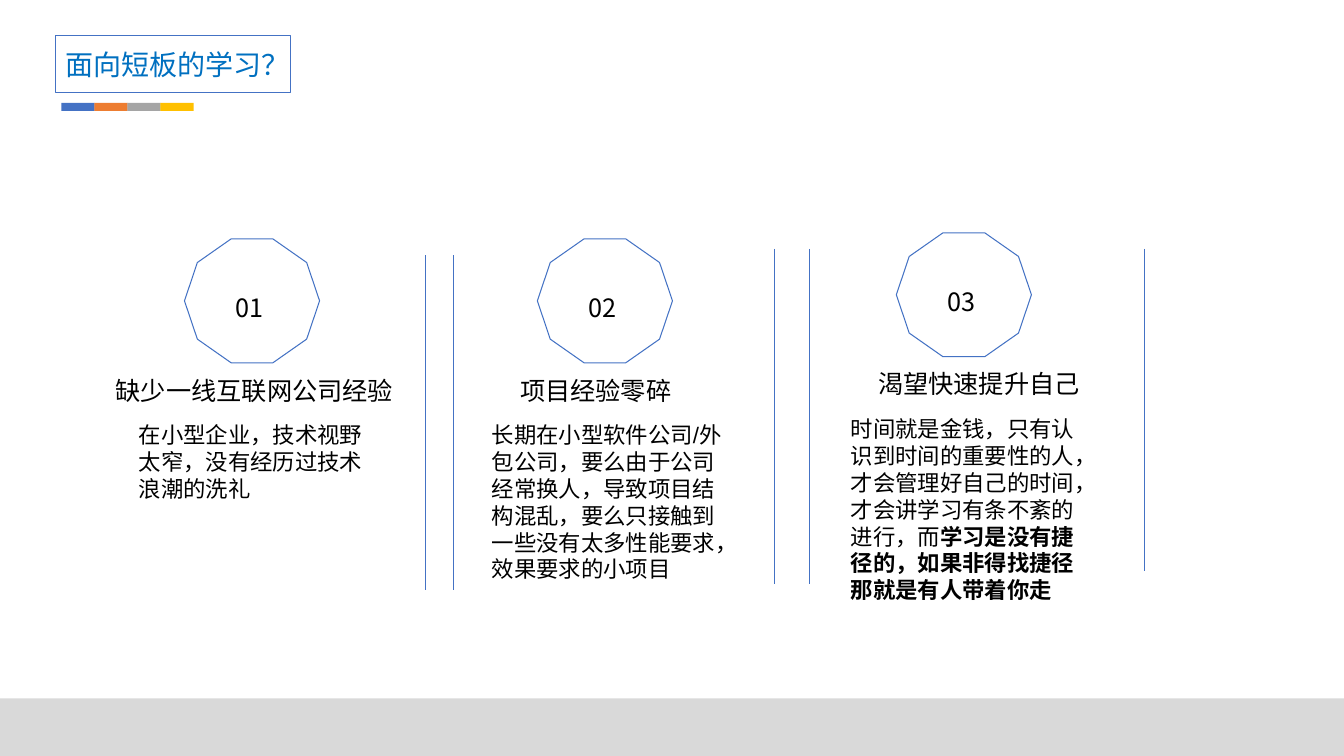
from lxml.etree import SubElement
from pptx import Presentation
from pptx.dml.color import RGBColor as Color
from pptx.enum.shapes import MSO_CONNECTOR as Link, MSO_SHAPE as Form
from pptx.enum.text import MSO_ANCHOR as Anchor, MSO_AUTO_SIZE as Fit, PP_ALIGN as Align
from pptx.oxml.ns import qn
from pptx.util import Inches, Pt

theme = {
    "blue": Color.from_string("4472C4"),
    "white": Color.from_string("FFFFFF"),
    "black": Color.from_string("000000"),
    "title": Color.from_string("0070C0"),
    "band": Color.from_string("D9D9D9"),
    "bars": [Color.from_string(c) for c in ("4472C4", "ED7D31", "A5A5A5", "FFC000")],
    "sans": "Noto Sans CJK SC",
    "latin": "Arial",
    "big": Pt(20),
    "mid": Pt(18),
    "small": Pt(16),
}

deck = Presentation()
deck.slide_width, deck.slide_height = Inches(13.33), Inches(7.5)
slide = deck.slides.add_slide(deck.slide_layouts[5])
shapes = slide.shapes


def draw(form, box, fill, edge=None):
    shape = shapes.add_shape(form, *map(Inches, box))
    shape.shadow.inherit = False
    shape.fill.solid()
    shape.fill.fore_color.rgb = fill
    if edge:
        shape.line.color.rgb = theme["blue"]
        shape.line.width = Pt(edge)
    else:
        shape.line.fill.background()


def write(frame, parts, size, face, tint, wrap=True):
    frame.word_wrap = wrap
    para = frame.paragraphs[0]
    para.alignment = Align.LEFT
    for text, bold in parts:
        run = para.add_run()
        run.text = text
        style = {"size": size, "name": face, "bold": bold}
        for key, value in style.items():
            setattr(run.font, key, value)
        run.font.color.rgb = tint
        east = SubElement(run.font._element, qn("a:ea"))
        east.set("typeface", theme["sans"])


draw(Form.RECTANGLE, (0, 6.93, 13.33, 0.57), theme["band"])
for i, tint in enumerate(theme["bars"]):
    draw(Form.RECTANGLE, (0.61 + 0.327 * i, 1.02, 0.33, 0.08), tint)

title = shapes.title
place = {"left": 0.55, "top": 0.35, "width": 2.33, "height": 0.57}
for key, value in place.items():
    setattr(title, key, Inches(value))
geom = SubElement(title._element.spPr, qn("a:prstGeom"), prst="roundRect")
SubElement(geom, qn("a:avLst"))
title.fill.solid()
title.fill.fore_color.rgb = theme["white"]
title.line.color.rgb = theme["blue"]
title.line.width = Pt(1)
title.text_frame.auto_size = Fit.NONE
title.text_frame.vertical_anchor = Anchor.MIDDLE
write(title.text_frame, [("面向短板的学习？", False)], theme["big"], theme["sans"], theme["title"])

points = [
    (1.83, 2.37, 1.05, 2.98, 0.91, "缺少一线互联网公司经验",
     [("在小型企业，技术视野太窄，没有经历过技术浪潮的洗礼", False)]),
    (5.33, 2.37, 5.06, 1.72, 1.72, "项目经验零碎",
     [("长期在小型软件公司/外包公司，要么由于公司经常换人，导致项目结构混乱，"
       "要么只接触到一些没有太多性能要求，效果要求的小项目", False)]),
    (8.89, 2.31, 8.61, 2.22, 1.99, "渴望快速提升自己",
     [("时间就是金钱，只有认识到时间的重要性的人，才会管理好自己的时间，"
       "才会讲学习有条不紊的进行，而", False),
      ("学习是没有捷径的，如果非得找捷径那就是有人带着你走", True)]),
]
for i, (x, y, left, width, height, head, body) in enumerate(points, 1):
    draw(Form.DECAGON, (x, y, 1.34, 1.23), theme["white"], 0.75)
    texts = [
        ((x + 0.41, y + 0.48, 0.5, 0.4), [(f"{i:02}", False)], "mid", "sans", False),
        ((left, y + 1.3, width, 0.4), [(head, False)], "mid", "sans", False),
        ((x - 0.55, y + 1.76, 2.58, height), body, "small", "latin", True),
    ]
    for box, parts, size, face, wrap in texts:
        frame = shapes.add_textbox(*map(Inches, box)).text_frame
        frame.auto_size = Fit.SHAPE_TO_FIT_TEXT
        write(frame, parts, theme[size], theme[face], theme["black"], wrap)

rules = [(4.22, 2.53, 5.85), (4.5, 2.53, 5.85), (7.68, 2.47, 5.79),
         (8.03, 2.47, 5.79), (11.35, 2.47, 5.66)]
for x, top, end in rules:
    rule = shapes.add_connector(Link.STRAIGHT, *map(Inches, (x, top, x, end)))
    rule.line.color.rgb = theme["blue"]
    rule.line.width = Pt(0.5)
    SubElement(rule._element.spPr, qn("a:effectLst"))

deck.save("out.pptx")
